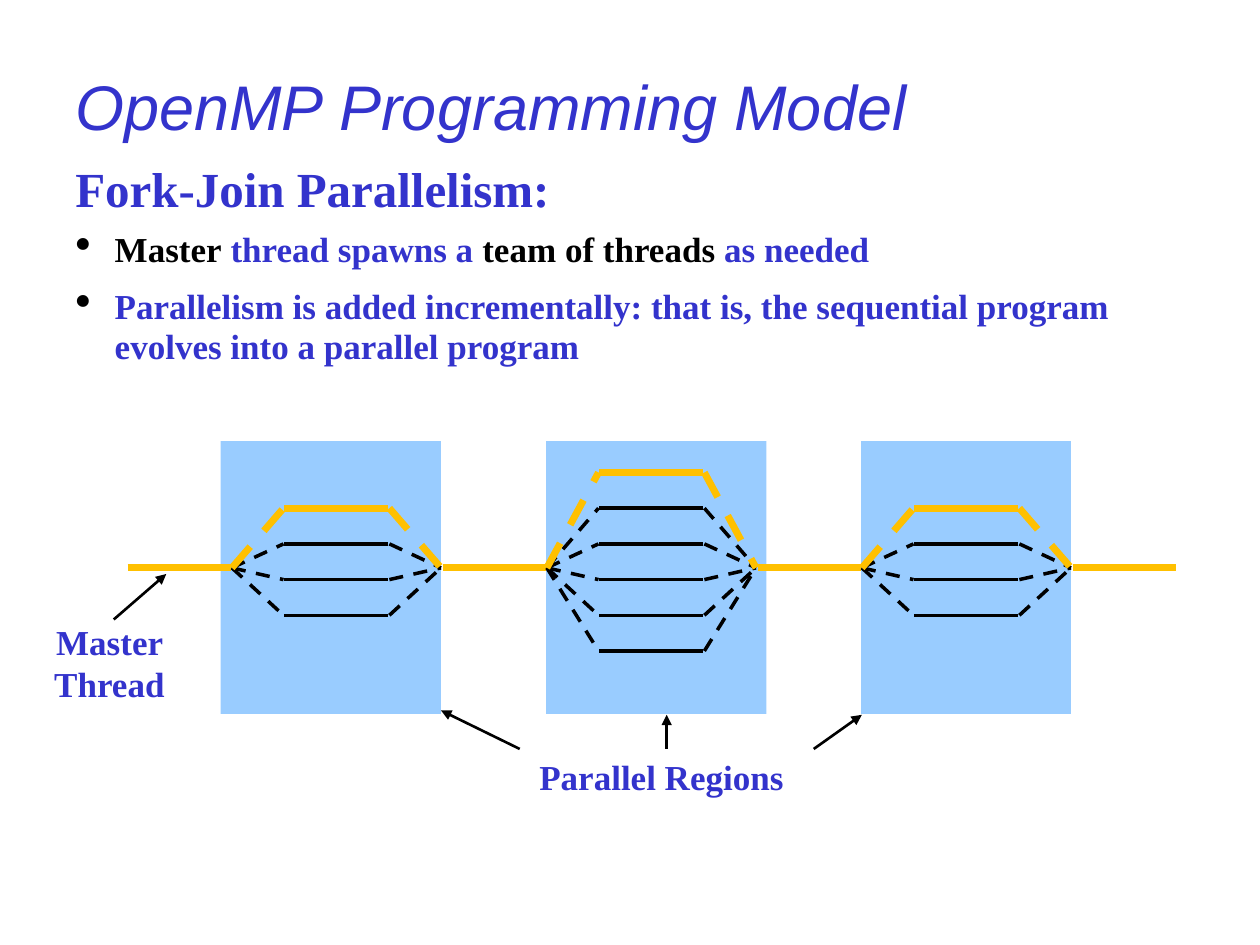
from typing import NamedTuple

from lxml.etree import SubElement
from pptx import Presentation
from pptx.dml.color import RGBColor
from pptx.enum.dml import MSO_LINE as Dash
from pptx.enum.shapes import MSO_CONNECTOR as Conn, MSO_SHAPE as Kind
from pptx.enum.text import MSO_ANCHOR as Anchor, PP_ALIGN as Align
from pptx.oxml.ns import qn
from pptx.util import Pt

BLUE = RGBColor(0x33, 0x33, 0xCC)
SKY = RGBColor(0x99, 0xCC, 0xFF)
GOLD = RGBColor(0xFF, 0xC0, 0x00)
BLACK = RGBColor(0, 0, 0)
SERIF = "Times New Roman"
PITCH = 180
MID = 324.5
LANE = 20.4
TOP = 270


class Region(NamedTuple):
    left: float
    width: float
    first: int
    last: int


class Label(NamedTuple):
    text: str
    left: float
    top: float
    width: float
    height: float


class Arrow(NamedTuple):
    x1: float
    y1: float
    x2: float
    y2: float


class Point(NamedTuple):
    words: list[tuple[str, RGBColor]]
    space: float


REGIONS = [
    Region(126, 126, 1, 4),
    Region(312, 126, 0, 5),
    Region(492, 120, 1, 4),
]
LABELS = [
    Label("Parallel Regions", 225, 428, 306, 32),
    Label("Master Thread", 15, 351, 95, 56),
]
ARROWS = [
    Arrow(465, 428, 492.5, 408.5),
    Arrow(297, 428, 252, 406),
    Arrow(381, 428, 381, 408.5),
    Arrow(65, 354, 95, 328),
]
POINTS = [
    Point([("Master", BLACK), (" thread spawns a ", BLUE),
           ("team of threads ", BLACK), ("as needed", BLUE)], 7),
    Point([("Parallelism is added incrementally: that is, the sequential "
            "program evolves into a parallel program", BLUE)], 10),
]


def add_box(slide, left: float, top: float, width: float, height: float):
    box = slide.shapes.add_textbox(Pt(left), Pt(top), Pt(width), Pt(height))
    box.text_frame.word_wrap = True
    return box.text_frame


def style(font, size: float, name: str = SERIF, bold: bool = True) -> None:
    font.name, font.size, font.bold = name, Pt(size), bold
    font.color.rgb = BLUE


def add_line(slide, x1: float, y1: float, x2: float, y2: float,
             color: RGBColor, width: float, dashed: bool = False):
    line = slide.shapes.add_connector(
        Conn.STRAIGHT, Pt(x1), Pt(y1), Pt(x2), Pt(y2))
    line.line.color.rgb = color
    line.line.width = Pt(width)
    if dashed:
        line.line.dash_style = Dash.DASH
    SubElement(line._element.spPr, qn("a:effectLst"))
    return line


def add_arrow(slide, arrow: Arrow) -> None:
    line = add_line(slide, *arrow, BLACK, 1.5)
    stroke = line._element.spPr.find(qn("a:ln"))
    SubElement(stroke, qn("a:tailEnd"), type="triangle")


def add_region(slide, region: Region) -> None:
    rect = slide.shapes.add_shape(
        Kind.RECTANGLE, Pt(region.left), Pt(252), Pt(region.width), Pt(156))
    rect.shadow.inherit = False
    rect.fill.solid()
    rect.fill.fore_color.rgb = SKY
    rect.line.fill.background()


def add_team(slide, region: Region, fork: float) -> None:
    join = fork + 119.5
    for lane in range(region.last, region.first - 1, -1):
        y = TOP + lane * LANE
        pen = (GOLD, 4) if lane == region.first else (BLACK, 2)
        add_line(slide, fork + 30, y, join - 30, y, *pen)
        add_line(slide, fork, MID, fork + 29.5, y, *pen, True)
        add_line(slide, join - 29.5, y, join, MID, *pen, True)


def add_label(slide, label: Label) -> None:
    frame = add_box(slide, *label[1:])
    frame.text = label.text
    para = frame.paragraphs[0]
    para.alignment = Align.CENTER
    style(para.runs[0].font, 20)


def add_point(frame, point: Point) -> None:
    para = frame.add_paragraph()
    para.line_spacing = 0.94
    para.space_before = Pt(point.space)
    props = para._p.get_or_add_pPr()
    props.set("marL", str(Pt(22.5)))
    props.set("indent", str(Pt(-22.5)))
    tint = SubElement(props, qn("a:buClr"))
    SubElement(tint, qn("a:srgbClr"), val=str(BLACK))
    SubElement(props, qn("a:buSzPct"), val="130000")
    SubElement(props, qn("a:buChar"), char="•")
    for text, color in point.words:
        run = para.add_run()
        run.text = text
        style(run.font, 20)
        run.font.color.rgb = color


def add_text(slide) -> None:
    title = add_box(slide, 36, 35.5, 660, 55)
    title.vertical_anchor = Anchor.MIDDLE
    title.text = "OpenMP Programming Model"
    head = title.paragraphs[0]
    head.line_spacing = 0.89
    style(head.runs[0].font, 36, "Arial", False)
    head.runs[0].font.italic = True

    body = add_box(slide, 36, 90, 651, 177)
    body.text = "Fork-Join Parallelism:"
    lead = body.paragraphs[0]
    lead.line_spacing = 0.94
    style(lead.runs[0].font, 28)
    for point in POINTS:
        add_point(body, point)


def main() -> None:
    deck = Presentation()
    deck.slide_width, deck.slide_height = Pt(720), Pt(540)
    slide = deck.slides.add_slide(deck.slide_layouts[6])
    add_text(slide)
    for region in REGIONS:
        add_region(slide, region)
    for step in range(len(REGIONS) + 1):
        left = 73 + step * PITCH
        add_line(slide, left, MID, left + 59, MID, GOLD, 4)
    for step, region in enumerate(REGIONS):
        add_team(slide, region, 132.5 + step * PITCH)
    for label in LABELS:
        add_label(slide, label)
    for arrow in ARROWS:
        add_arrow(slide, arrow)
    deck.save("out.pptx")


if __name__ == "__main__":
    main()
